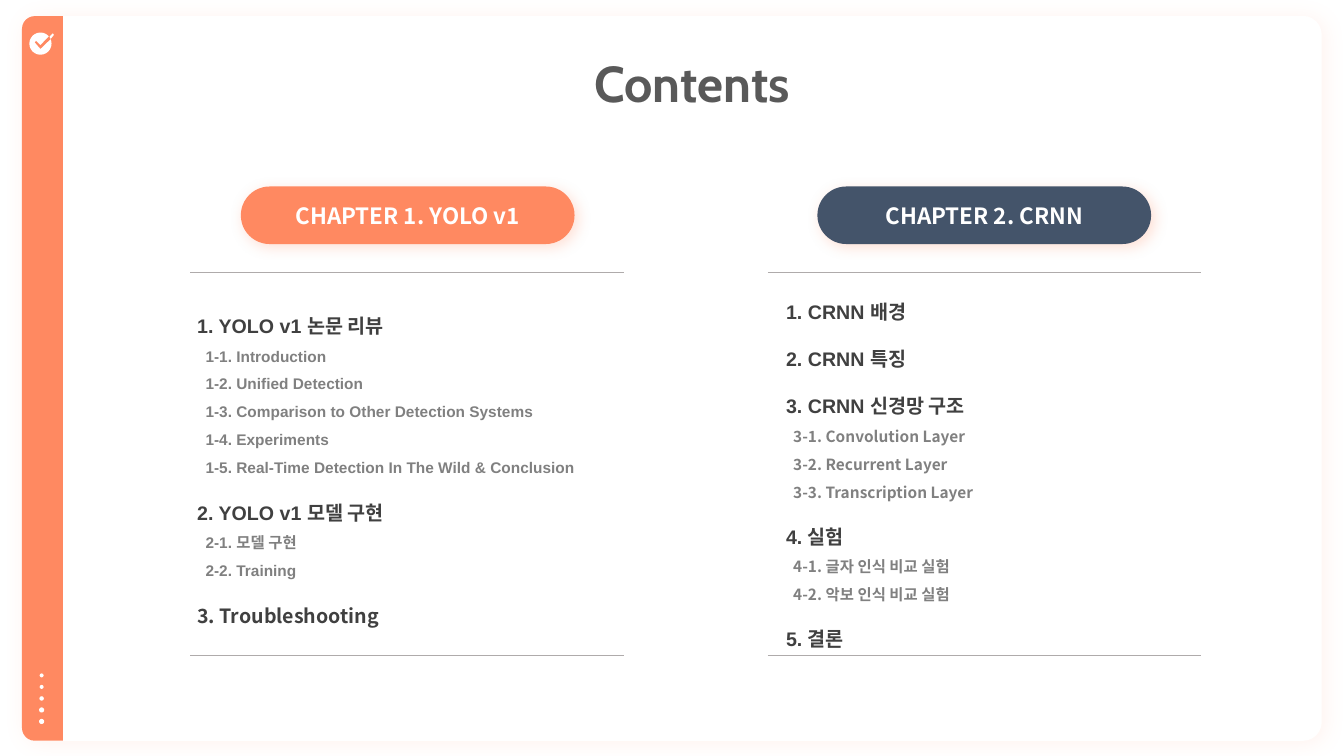
from lxml import etree
from pptx import Presentation
from pptx import util as u
from pptx.dml import color as c
from pptx.enum import shapes, text
from pptx.oxml import ns

COLORS = {
    "white": "FFFFFF", "coral": "FF8961", "navy": "44546A", "rule": "AFABAB",
    "title": "595959", "heading": "404040", "item": "808080",
}
SANS = "Noto Sans CJK KR"
YOLO = [
    ("1. YOLO v1 논문 리뷰", "heading", "Arial"),
    ("1-1. Introduction", "item", "Arial"),
    ("1-2. Unified Detection", "item", "Arial"),
    ("1-3. Comparison to Other Detection Systems", "item", "Arial"),
    ("1-4. Experiments", "item", "Arial"),
    ("1-5. Real-Time Detection In The Wild & Conclusion", "item", "Arial"),
    ("2. YOLO v1 모델 구현", "heading", "Arial"),
    ("2-1. 모델 구현", "item", "Arial"),
    ("2-2. Training", "item", "Arial"),
    ("3. Troubleshooting", "heading", SANS),
]
CRNN = [
    ("1. CRNN 배경", "heading", "Arial"),
    ("2. CRNN 특징", "heading", "Arial"),
    ("3. CRNN 신경망 구조", "heading", "Arial"),
    ("3-1. Convolution Layer", "item", SANS),
    ("3-2. Recurrent Layer", "item", SANS),
    ("3-3. Transcription Layer", "item", SANS),
    ("4. 실험", "heading", "Arial"),
    ("4-1. 글자 인식 비교 실험", "item", SANS),
    ("4-2. 악보 인식 비교 실험", "item", SANS),
    ("5. 결론", "heading", "Arial"),
]


def rgb(name):
    return c.RGBColor.from_string(COLORS[name])


def paint(shape, color):
    shape.shadow.inherit = False
    shape.fill.solid()
    shape.fill.fore_color.rgb = rgb(color)
    shape.line.fill.background()


def add_block(page, kind, left, top, width, height, color, adjustments=()):
    shape = page.shapes.add_shape(
        kind, u.Cm(left), u.Cm(top), u.Cm(width), u.Cm(height))
    paint(shape, color)
    for index, value in enumerate(adjustments):
        shape.adjustments[index] = value
    return shape


def add_outline(page, points, color):
    builder = page.shapes.build_freeform(*points[0], scale=u.Cm(0.01))
    builder.add_line_segments(points[1:])
    paint(builder.convert_to_shape(), color)


def add_glow(shape, opacity, blur):
    effects = shape._element.spPr.find(ns.qn("a:effectLst"))
    shadow = etree.SubElement(
        effects, ns.qn("a:outerShdw"), blurRad=str(u.Pt(blur)),
        dist=str(u.Pt(3)), dir="2700000", algn="tl", rotWithShape="0")
    tint = etree.SubElement(shadow, ns.qn("a:srgbClr"), val=COLORS["coral"])
    etree.SubElement(tint, ns.qn("a:alpha"), val=str(opacity * 1000))


def add_span(para, words, size, font, color):
    span = para.add_run()
    span.text = words
    span.font.size = u.Pt(size)
    span.font.name = font
    span.font.bold = True
    span.font.color.rgb = rgb(color)
    east_asian = etree.Element(ns.qn("a:ea"), typeface=SANS)
    span.font._element.find(ns.qn("a:latin")).addnext(east_asian)


def add_rule(page, left, top, width):
    rule = page.shapes.add_connector(
        shapes.MSO_CONNECTOR.STRAIGHT,
        u.Cm(left), u.Cm(top), u.Cm(left + width), u.Cm(top))
    rule.line.color.rgb = rgb("rule")
    rule.line.width = u.Pt(1)
    etree.SubElement(rule._element.spPr, ns.qn("a:effectLst"))


def add_title(page):
    box = page.shapes.add_textbox(u.Cm(14.73), u.Cm(1.19), u.Cm(5.61), u.Cm(1.8))
    box.text_frame.word_wrap = False
    add_span(box.text_frame.paragraphs[0], "Contents", 36, "Cabin", "title")


def add_pill(page, left, label, color):
    pill = add_block(page, shapes.MSO_SHAPE.ROUNDED_RECTANGLE,
                     left, 4.7, 8.41, 1.45, color, [0.5])
    add_glow(pill, 25, 10)
    frame = pill.text_frame
    frame.vertical_anchor = text.MSO_ANCHOR.MIDDLE
    para = frame.paragraphs[0]
    para.alignment = text.PP_ALIGN.CENTER
    add_span(para, label, 16, SANS, "white")


def add_outline_text(page, left, top, entries, heading_spacing, gap, indent):
    box = page.shapes.add_textbox(u.Cm(left), u.Cm(top), u.Cm(10.69), u.Cm(9.25))
    frame = box.text_frame
    frame.word_wrap = True
    frame.vertical_anchor = text.MSO_ANCHOR.MIDDLE
    for index, (words, level, font) in enumerate(entries):
        para = frame.add_paragraph() if index else frame.paragraphs[0]
        if level == "heading":
            para.line_spacing = heading_spacing
            para.space_before = u.Pt(gap if index else 0)
            add_span(para, words, 14, font, level)
        else:
            para.line_spacing = 1.5
            para._p.get_or_add_pPr().set("marL", str(u.Cm(indent)))
            add_span(para, words, 11, font, level)


def add_frame(page):
    card = add_block(page, shapes.MSO_SHAPE.ROUNDED_RECTANGLE,
                     0.56, 0.4, 32.75, 18.27, "white", [0.026])
    add_glow(card, 10, 15)
    bar = add_block(page, shapes.MSO_SHAPE.ROUND_2_SAME_RECTANGLE,
                    -8.06, 9.02, 18.26, 1.03, "coral", [0.312, 0])
    bar.rotation = 270


def add_check_badge(page):
    add_block(page, shapes.MSO_SHAPE.OVAL, 0.74, 0.82, 0.56, 0.56, "white")
    add_outline(page, [(88, 107), (91, 103), (102, 114), (124, 91),
                       (127, 99), (102, 123)], "coral")
    add_outline(page, [(125, 92), (133, 84), (136, 88), (128, 98)], "white")


def add_dots(page):
    for index, size in enumerate([0.1, 0.1, 0.11, 0.13, 0.13]):
        center = 17.02 + 0.29 * index
        add_block(page, shapes.MSO_SHAPE.OVAL, 1.05 - size / 2,
                  center - size / 2, size, size, "white")


def main():
    deck = Presentation()
    deck.slide_width, deck.slide_height = u.Cm(33.87), u.Cm(19.05)
    page = deck.slides.add_slide(deck.slide_layouts[6])
    add_frame(page)
    add_check_badge(page)
    add_dots(page)
    add_title(page)
    add_pill(page, 6.07, "CHAPTER 1. YOLO v1", "coral")
    add_pill(page, 20.6, "CHAPTER 2. CRNN", "navy")
    for left in (4.8, 19.35):
        for top in (6.86, 16.51):
            add_rule(page, left, top, 10.92)
    add_outline_text(page, 4.72, 7.09, YOLO, 1.5, 9, 0.21)
    add_outline_text(page, 19.56, 7.06, CRNN, 2, 0, 0.18)
    deck.save("out.pptx")


if __name__ == "__main__":
    main()
